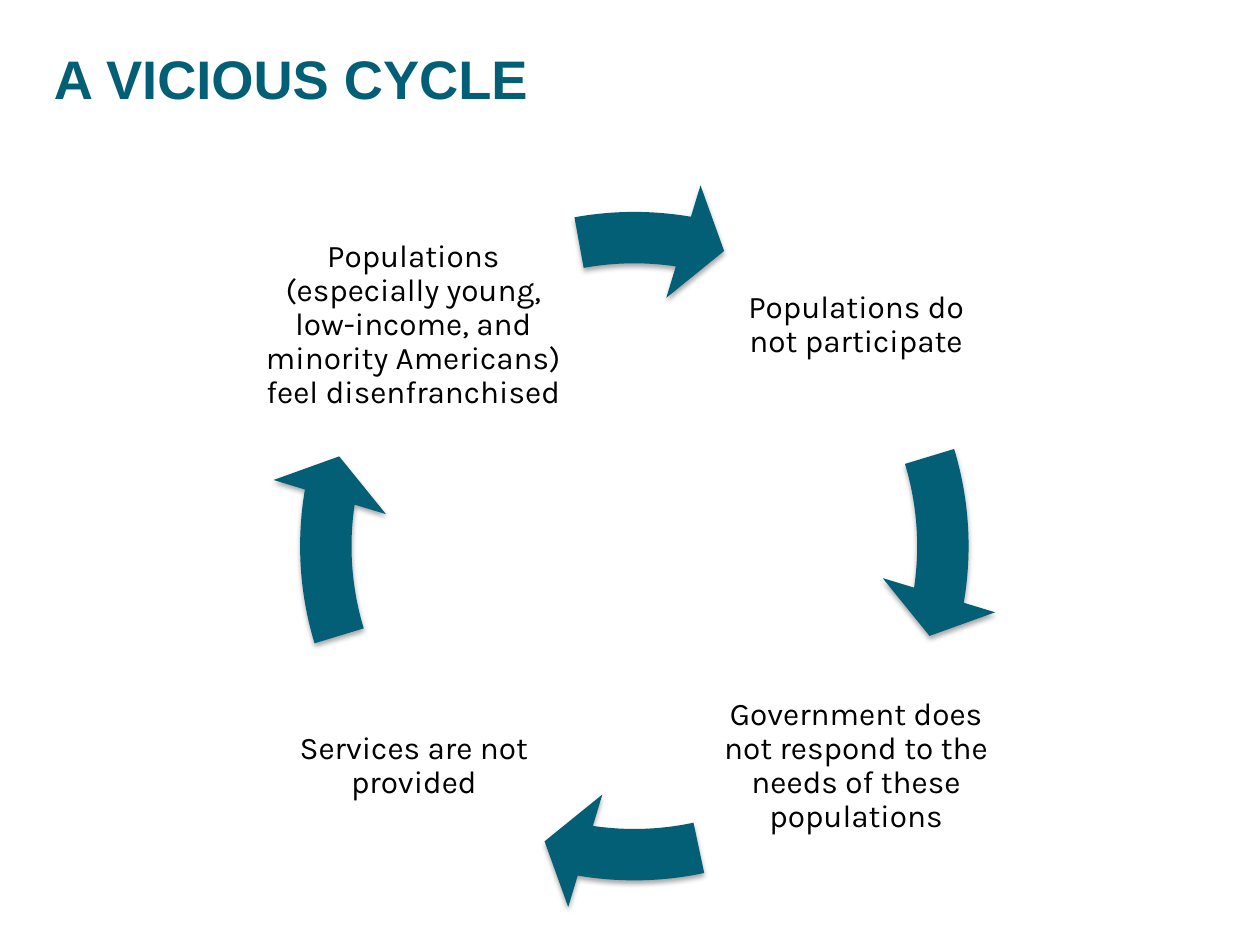
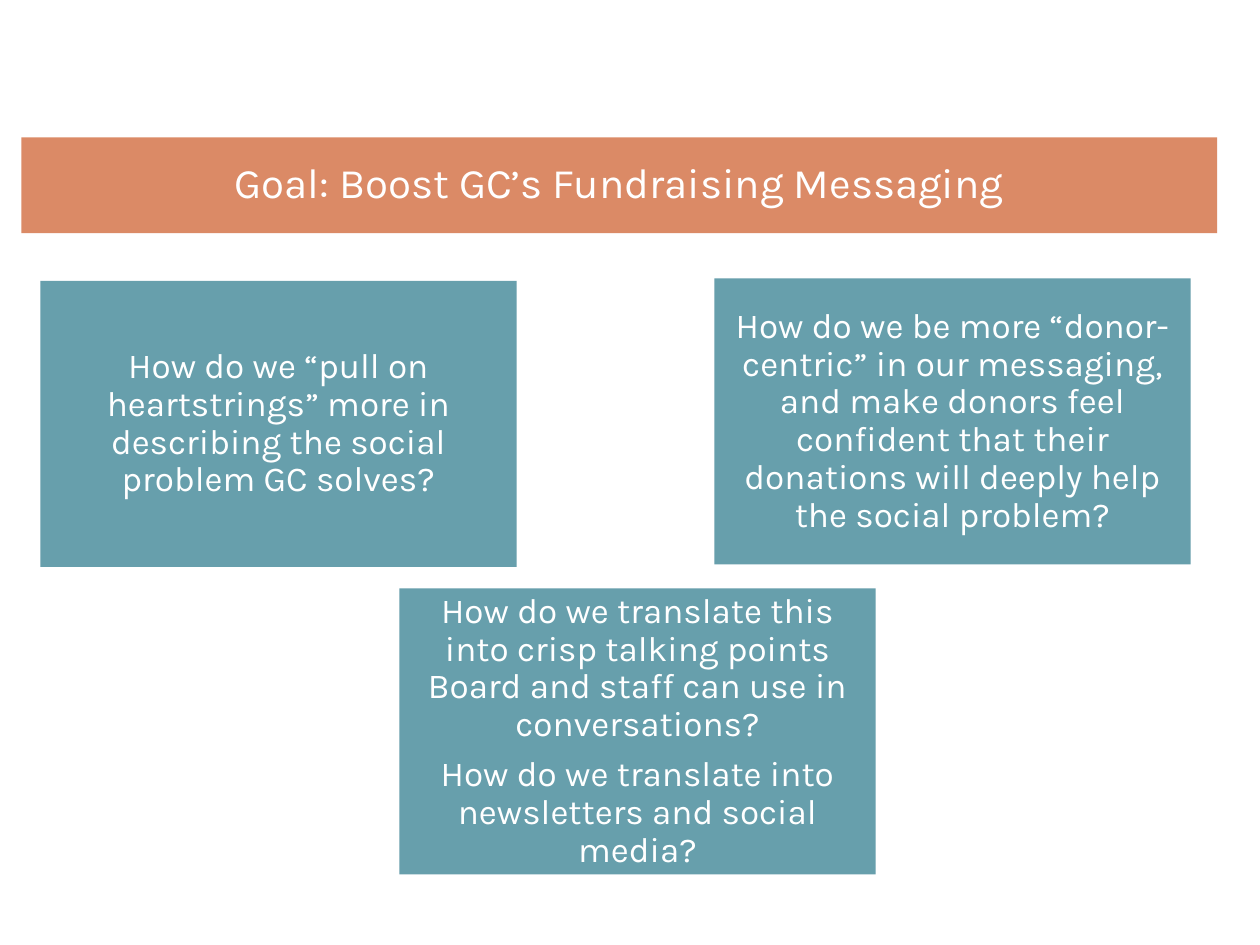
from lxml import etree
from pptx import Presentation
from pptx import util as u
from pptx.dml.color import RGBColor
from pptx.enum import shapes, text
from pptx.oxml import ns

COLORS = {"teal": "035F76", "orange": "C84C15", "white": "FFFFFF", "black": "000000"}
COLUMNS, ROWS = 100, 75


class Designer:
    """Draws styled elements on the current page, placed by grid columns and rows."""

    def __init__(self):
        self.deck = Presentation()
        self.deck.slide_width, self.deck.slide_height = u.Inches(10), u.Inches(7.5)
        self.page = None

    def new_page(self):
        self.page = self.deck.slides.add_slide(self.deck.slide_layouts[6])

    def place(self, left, top, width, height):
        across, down = self.deck.slide_width / COLUMNS, self.deck.slide_height / ROWS
        return [round(cells * unit) for cells, unit in
                zip((left, top, width, height), (across, down, across, down))]

    def child(self, parent, tag, **attributes):
        return etree.SubElement(parent, ns.qn(tag), {key: str(value) for key, value in attributes.items()})

    def shape(self, kind, area, color, opacity=100):
        shape = self.page.shapes.add_shape(kind, *self.place(*area))
        shape.shadow.inherit = False
        shape.fill.solid()
        shape.fill.fore_color.rgb = RGBColor.from_string(COLORS[color])
        shape.line.fill.background()
        if opacity < 100:
            tint = shape._element.spPr.find(".//" + ns.qn("a:srgbClr"))
            self.child(tint, "a:alpha", val=opacity * 1000)
        return shape

    def fill_text(self, box, paragraphs, size, color, inset):
        frame = box.text_frame
        frame.word_wrap = True
        frame.vertical_anchor = text.MSO_ANCHOR.MIDDLE
        frame.margin_left = frame.margin_right = u.Inches(inset)
        frame.margin_top = frame.margin_bottom = u.Inches(inset)
        for index, words in enumerate(paragraphs):
            para = frame.add_paragraph() if index else frame.paragraphs[0]
            para.alignment = text.PP_ALIGN.CENTER
            para.line_spacing = 0.9
            para.space_after = u.Pt(round(0.35 * size))
            self.span(para, words, size, color)

    def span(self, para, words, size, color, font="Karla", bold=False):
        span = para.add_run()
        span.text = words
        span.font.name, span.font.size, span.font.bold = font, u.Pt(size), bold
        span.font.color.rgb = RGBColor.from_string(COLORS[color])

    def title(self, words):
        box = self.page.shapes.add_textbox(*self.place(3.3, 0.8, 91.7, 10.8))
        box.text_frame.word_wrap = True
        box.text_frame.vertical_anchor = text.MSO_ANCHOR.MIDDLE
        self.span(box.text_frame.paragraphs[0], words, 31, "teal", "Arial", True)

    def label(self, area, words):
        box = self.page.shapes.add_textbox(*self.place(*area))
        self.fill_text(box, [words], 18, "black", 0.03)

    def panel(self, area, paragraphs, size=20, color="teal", opacity=60, inset=0.08):
        box = self.shape(shapes.MSO_SHAPE.RECTANGLE, area, color, opacity)
        self.fill_text(box, paragraphs, size, "white", inset)

    def cycle_arrow(self, area, start, end):
        arrow = self.shape(shapes.MSO_SHAPE.CIRCULAR_ARROW, area, "teal")
        per_degree, head_angle = 0.6, 7.76
        thickness, head_width = 0.07, 0.08
        angles = [angle * per_degree for angle in (head_angle, end, start)]
        for index, value in enumerate([thickness, *angles, head_width]):
            arrow.adjustments[index] = value
        effects = arrow._element.spPr.find(ns.qn("a:effectLst"))
        shadow = self.child(effects, "a:outerShdw", blurRad=u.Pt(3.1), dist=u.Pt(1.8),
                            dir=90 * 60000, rotWithShape=0)
        tint = self.child(shadow, "a:srgbClr", val=COLORS["black"])
        self.child(tint, "a:alpha", val=35000)


def draw_cycle(designer):
    """Four stages joined by arrows that lie on one ring."""
    designer.new_page()
    designer.title("A VICIOUS CYCLE")
    ring = (21.2, 14.2, 58.3, 58.3)
    upper, lower, height = 15.5, 50.5, 20.7
    stages = [
        (57.6, upper, 20.7, 343.1, "Populations do not participate"),
        (55.6, lower, 24.7, 77.93, "Government does not respond to the needs of these populations"),
        (22.5, lower, 20.7, 163.1, "Services are not provided"),
        (19.7, upper, 26.2, 259.68, "Populations (especially young, low-income, and minority "
                                    "Americans) feel disenfranchised"),
    ]
    for turn, (left, top, width, start, words) in enumerate(stages):
        designer.label((left, top, width, height), words)
        designer.cycle_arrow(ring, start, 9.15 + 90 * turn)


def draw_goal(designer):
    """A goal band above three question panels."""
    designer.new_page()
    questions = [
        (3.2, 22.3, ["How do we “pull on heartstrings” more in describing the social problem GC solves?"]),
        (31.7, 46.7, ["How do we translate this into crisp talking points Board and staff "
                      "can use in conversations?",
                      "How do we translate into newsletters and social media?"]),
        (56.7, 22.1, ["How do we be more “donor-centric” in our messaging, and make donors feel "
                      "confident that their donations will deeply help the social problem?"]),
    ]
    for left, top, paragraphs in questions:
        designer.panel((left, top, 37.8, 22.7), paragraphs)
    designer.panel((1.7, 10.9, 94.9, 7.6), ["Goal: Boost GC’s Fundraising Messaging"],
                   size=24, color="orange", opacity=65, inset=0.1)


def main():
    """Build and save the deck."""
    designer = Designer()
    draw_cycle(designer)
    draw_goal(designer)
    designer.deck.save("out.pptx")


if __name__ == "__main__":
    main()
